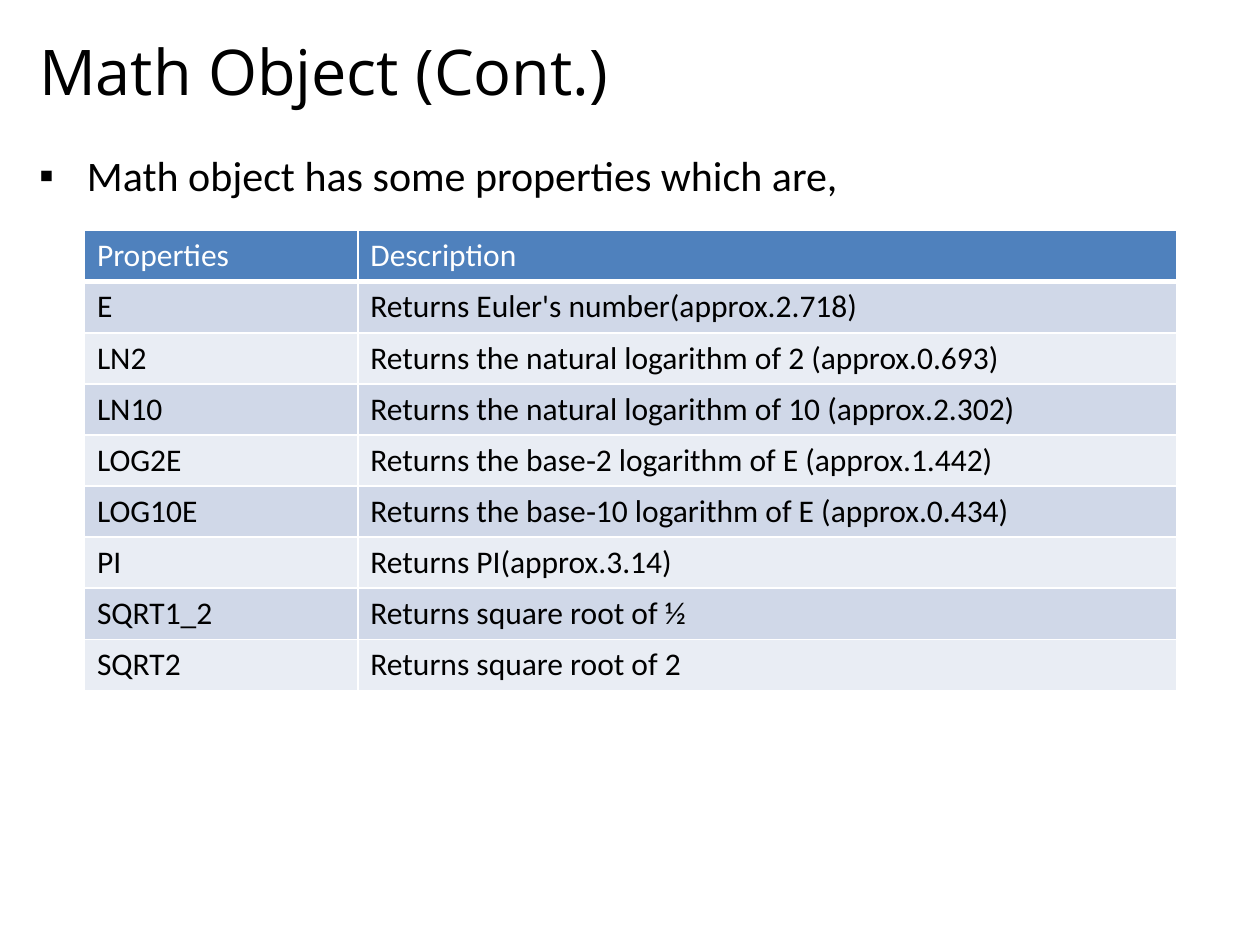
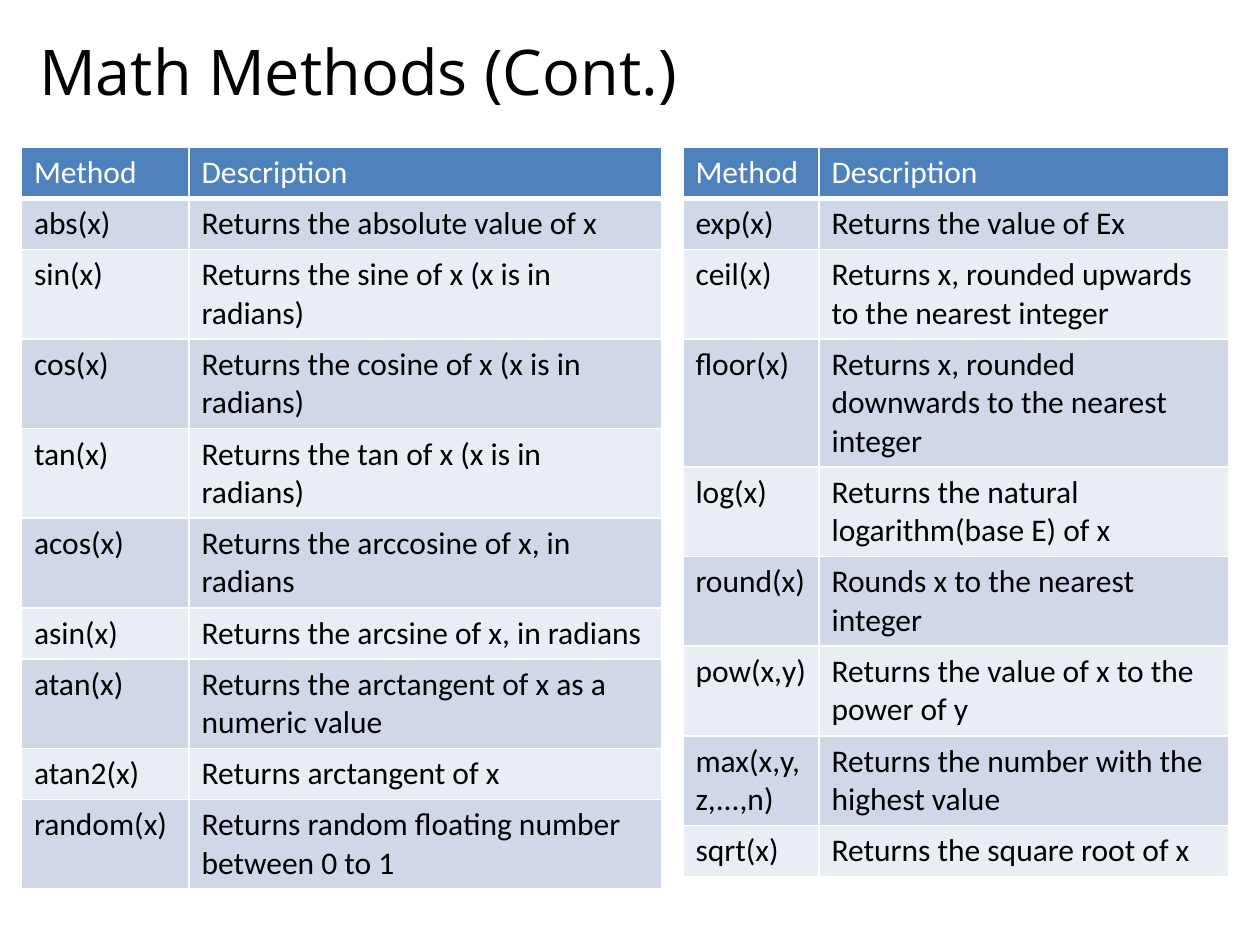
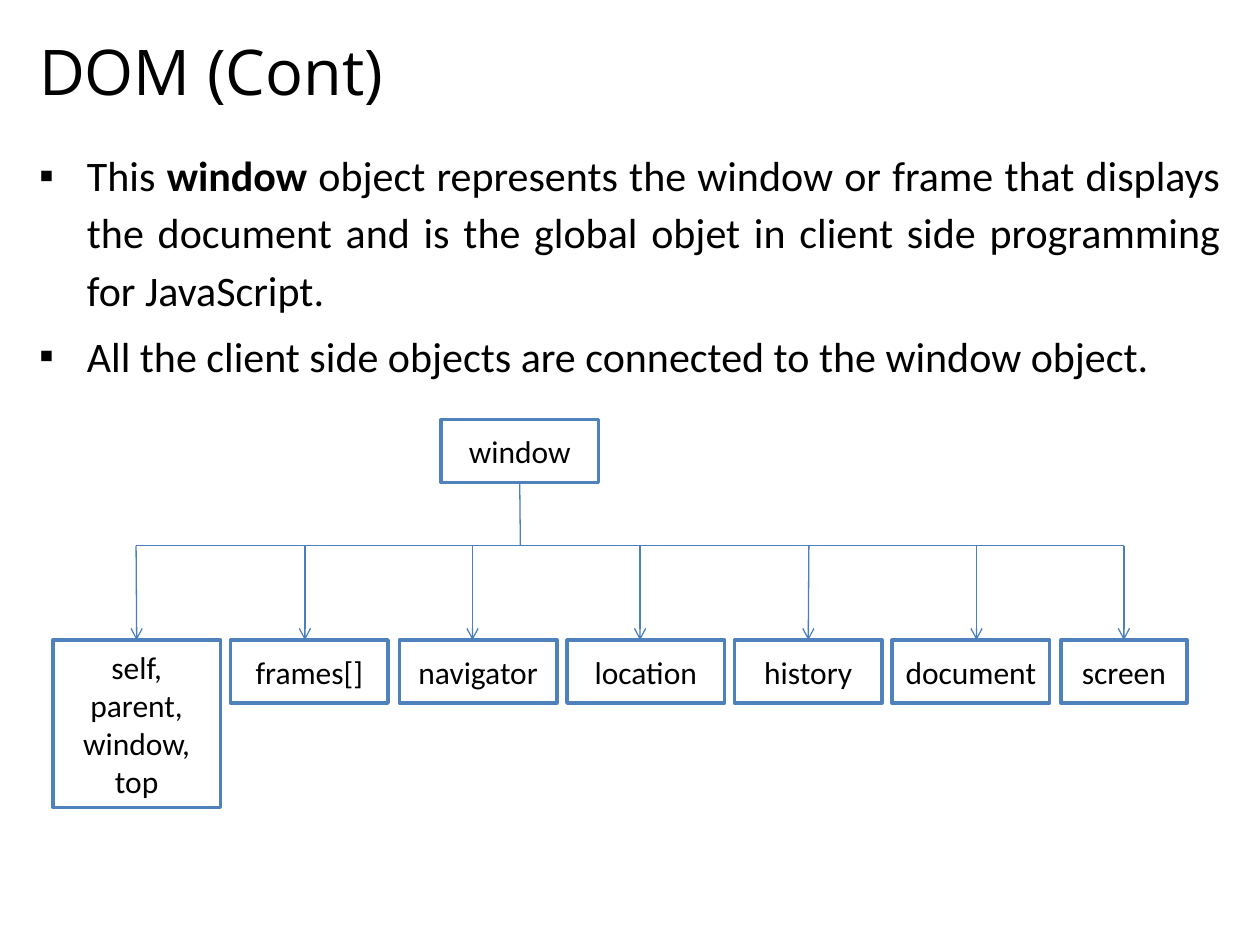
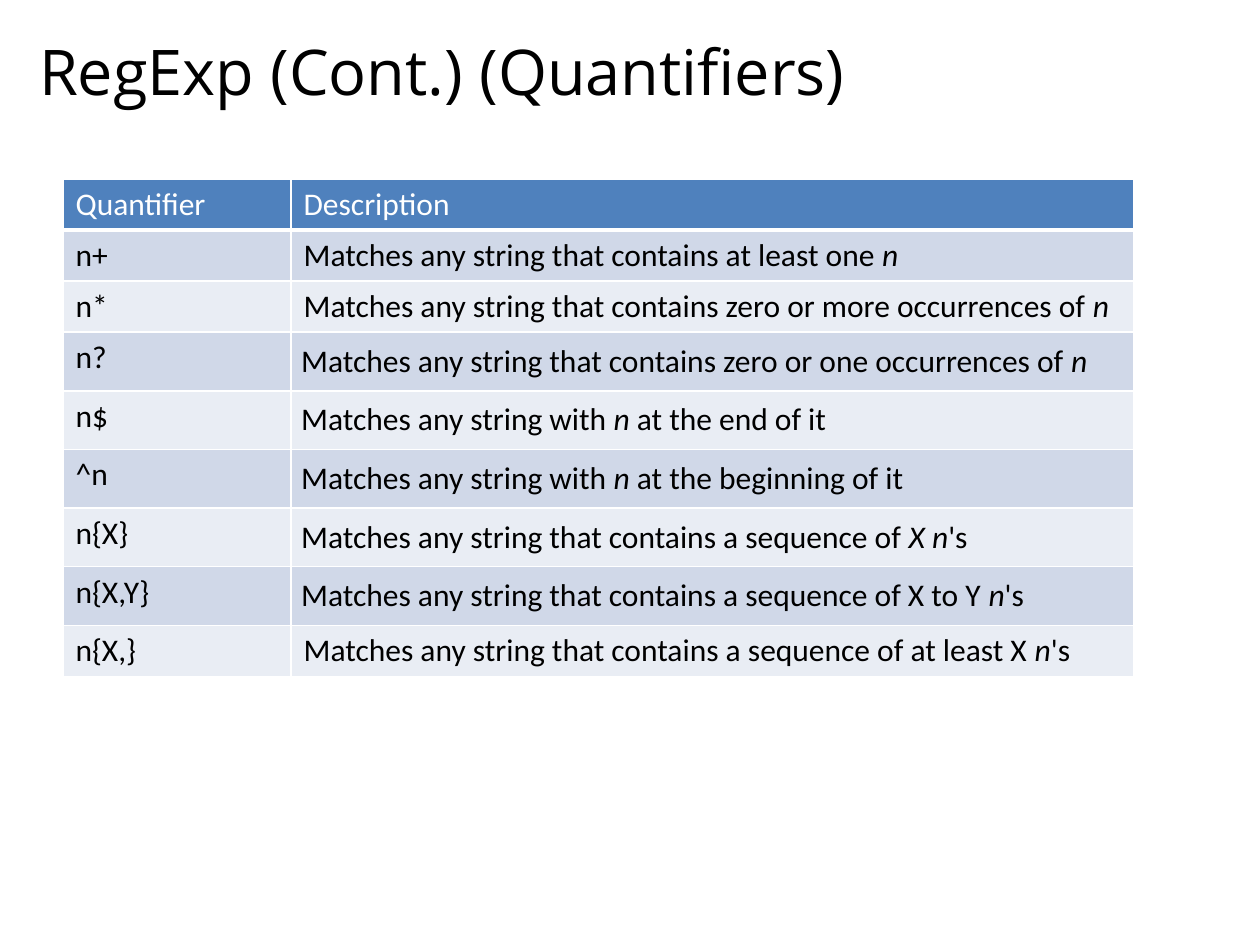
from pptx import Presentation
from pptx.dml.color import RGBColor
from pptx.enum.shapes import MSO_CONNECTOR as LINK, MSO_SHAPE as SHAPE
from pptx.enum.text import MSO_ANCHOR as ANCHOR, MSO_AUTO_SIZE as FIT, PP_ALIGN as ALIGN
from pptx.oxml.ns import qn
from pptx.util import Inches, Pt
from lxml.etree import SubElement as Sub

# Shared look
BLACK = RGBColor(0x00, 0x00, 0x00)
WHITE = RGBColor(0xFF, 0xFF, 0xFF)
BLUE = RGBColor(0x4F, 0x81, 0xBD)
LINE = RGBColor(0x4B, 0x7E, 0xBC)
BAND = RGBColor(0xD0, 0xD8, 0xE8)
PALE = RGBColor(0xE9, 0xED, 0xF4)
HEAD_FONT, TEXT_FONT = "Open Sans", "Calibri"
ROW = Inches(3.65) // 9
INDENT = Inches(0.38)
TITLE_ONLY, WITH_BODY = 5, 1

# Table texts; bars enclose emphasised words
PROPS = [
    ("Properties", "Description"),
    ("E", "Returns Euler's number(approx.2.718)"),
    ("LN2", "Returns the natural logarithm of 2 (approx.0.693)"),
    ("LN10", "Returns the natural logarithm of 10 (approx.2.302)"),
    ("LOG2E", "Returns the base‐2 logarithm of E (approx.1.442)"),
    ("LOG10E", "Returns the base‐10 logarithm of E (approx.0.434)"),
    ("PI", "Returns PI(approx.3.14)"),
    ("SQRT1_2", "Returns square root of ½"),
    ("SQRT2", "Returns square root of 2"),
]
TRIG = [
    ("Method", "Description"),
    ("abs(x)", "Returns the absolute value of x"),
    ("sin(x)", "Returns the sine of x (x is in radians)"),
    ("cos(x)", "Returns the cosine of x (x is in radians)"),
    ("tan(x)", "Returns the tan of x (x is in radians)"),
    ("acos(x)", "Returns the arccosine of x, in radians"),
    ("asin(x)", "Returns the arcsine of x, in radians"),
    ("atan(x)", "Returns the arctangent of x as a numeric value"),
    ("atan2(x)", "Returns arctangent of x"),
    ("random(x)", "Returns random floating number between 0 to 1"),
]
ROUND = [
    ("Method", "Description"),
    ("exp(x)", "Returns the value of Ex"),
    ("ceil(x)", "Returns x, rounded upwards to the nearest integer"),
    ("floor(x)", "Returns x, rounded downwards to the nearest integer"),
    ("log(x)", "Returns the natural logarithm(base E) of x"),
    ("round(x)", "Rounds x to the nearest integer"),
    ("pow(x,y)", "Returns the value of x to the power of y"),
    ("max(x,y,z,...,n)", "Returns the number with the highest value"),
    ("sqrt(x)", "Returns the square root of x"),
]
QUANTS = [
    ("Quantifier", "Description"),
    ("n+", "Matches any string that contains at least one |n|"),
    ("n*", "Matches any string that contains zero or more occurrences of |n|"),
    ("n?", "Matches any string that contains zero or one occurrences of |n|"),
    ("n$", "Matches any string with |n| at the end of it"),
    ("^n", "Matches any string with |n| at the beginning of it"),
    ("n{X}", "Matches any string that contains a sequence of |X n|'s"),
    ("n{X,Y}", "Matches any string that contains a sequence of X to Y |n|'s"),
    ("n{X,}", "Matches any string that contains a sequence of at least X |n|'s"),
]

# Children of window: label, left, width, height, x of the arrow
NODES = [
    ("self,\nparent,\nwindow,\ntop", 0.42, 1.33, 1.33, 1.08),
    ("frames[]", 1.83, 1.25, 0.5, 2.42),
    ("navigator", 3.17, 1.25, 0.5, 3.75),
    ("location", 4.5, 1.25, 0.5, 5.08),
    ("history", 5.83, 1.17, 0.5, 6.42),
    ("document", 7.08, 1.25, 0.5, 7.75),
    ("screen", 8.42, 1, 0.5, 8.92),
]
BUS_Y, NODE_Y = 4.33, 5.08


def write(para, text, size, color=BLACK, font=TEXT_FONT, bold=False):
    """Add runs; parts between bars are bold or italic."""
    for i, part in enumerate(text.split("|")):
        if not part:
            continue
        run = para.add_run()
        run.text = part
        face = run.font
        face.name, face.size = font, Pt(size)
        face.color.rgb = color
        if i % 2:
            face.bold, face.italic = bold, not bold


def place(shape, left, top, width, height):
    shape.left, shape.top = Inches(left), Inches(top)
    shape.width, shape.height = Inches(width), Inches(height)


def add_slide(prs, layout, title):
    slide = prs.slides.add_slide(prs.slide_layouts[layout])
    head = slide.shapes.title
    place(head, 0.21, 0.12, 9.58, 0.88)
    frame = head.text_frame
    frame.auto_size = FIT.NONE
    frame.vertical_anchor = ANCHOR.MIDDLE
    para = frame.paragraphs[0]
    para.alignment = ALIGN.LEFT
    write(para, title, 36, font=HEAD_FONT)
    return slide


def add_list(slide, items, align):
    body = slide.placeholders[1]
    place(body, 0.21, 1.08, 9.58, 5.83)
    frame = body.text_frame
    frame.auto_size = FIT.NONE
    for i, item in enumerate(items):
        para = frame.add_paragraph() if i else frame.paragraphs[0]
        para.alignment, para.line_spacing = align, 1.14
        props = para._p.get_or_add_pPr()
        props.set("marL", str(INDENT))
        props.set("indent", str(-INDENT))
        tint = Sub(props, qn("a:buClr"))
        Sub(tint, qn("a:srgbClr"), val=str(BLACK))
        Sub(props, qn("a:buChar"), char="▪")
        write(para, item, 24, bold=True)


def edge(cell, side, width):
    line = Sub(cell._tc.get_or_add_tcPr(), qn("a:ln" + side), w=str(Pt(width)))
    fill = Sub(line, qn("a:solidFill"))
    Sub(fill, qn("a:srgbClr"), val=str(WHITE))


def add_grid(slide, left, top, widths, rows, padded=()):
    """Banded table; padded rows have a wider margin in the last column."""
    shape = slide.shapes.add_table(
        len(rows), len(widths), Inches(left), Inches(top),
        Inches(sum(widths)), ROW * len(rows))
    table = shape.table
    for col, width in zip(table.columns, widths):
        col.width = Inches(width)
    for r, texts in enumerate(rows):
        for c, text in enumerate(texts):
            cell = table.cell(r, c)
            for side in "LRTB":
                edge(cell, side, 3 if r == 0 and side == "B" else 1)
            cell.fill.solid()
            cell.fill.fore_color.rgb = BLUE if r == 0 else BAND if r % 2 else PALE
            if r in padded and c == len(widths) - 1:
                cell.margin_left = cell.margin_right = Inches(0.08)
                cell.margin_top = cell.margin_bottom = Inches(0.08)
            write(cell.text_frame.paragraphs[0], text, 18, BLACK if r else WHITE)


def add_box(slide, label, left, top, width, height):
    box = slide.shapes.add_shape(
        SHAPE.RECTANGLE, Inches(left), Inches(top), Inches(width), Inches(height))
    box.shadow.inherit = False
    box.fill.solid()
    box.fill.fore_color.rgb = WHITE
    box.line.color.rgb, box.line.width = BLUE, Pt(2)
    frame = box.text_frame
    frame.vertical_anchor = ANCHOR.MIDDLE
    for i, text in enumerate(label.split("\n")):
        para = frame.add_paragraph() if i else frame.paragraphs[0]
        para.alignment = ALIGN.CENTER
        write(para, text, 18)
    return box


def add_line(slide, x1, y1, x2, y2, arrow=False):
    link = slide.shapes.add_connector(
        LINK.STRAIGHT, Inches(x1), Inches(y1), Inches(x2), Inches(y2))
    link.line.color.rgb, link.line.width = LINE, Pt(0.75)
    if arrow:
        Sub(link.line._get_or_add_ln(), qn("a:tailEnd"), type="arrow")
    Sub(link._element.spPr, qn("a:effectLst"))
    return link


def add_tree(slide):
    root = add_box(slide, "window", 3.5, 3.33, 1.25, 0.5)
    for label, left, width, height, x in NODES:
        box = add_box(slide, label, left, NODE_Y, width, height)
        drop = add_line(slide, x, BUS_Y, x, NODE_Y, arrow=True)
        if abs(left + width / 2 - x) < 0.01:
            drop.end_connect(box, 0)
    trunk = add_line(slide, 4.13, BUS_Y, 4.13, 3.83)
    trunk.end_connect(root, 2)
    add_line(slide, NODES[0][-1], BUS_Y, NODES[-1][-1], BUS_Y)


def main():
    prs = Presentation()
    prs.slide_width, prs.slide_height = Inches(10), Inches(7.5)

    # Math properties
    slide = add_slide(prs, WITH_BODY, "Math Object (Cont.)")
    add_list(slide, ["Math object has some properties which are,"], ALIGN.LEFT)
    add_grid(slide, 0.67, 1.83, (2.17, 6.5), PROPS)

    # Math methods
    slide = add_slide(prs, TITLE_ONLY, "Math Methods (Cont.)")
    add_grid(slide, 0.17, 1.17, (1.33, 3.75), TRIG)
    add_grid(slide, 5.42, 1.17, (1.08, 3.25), ROUND)

    # Window object tree
    slide = add_slide(prs, WITH_BODY, "DOM (Cont)")
    add_list(slide, [
        "This |window| object represents the window or frame that displays "
        "the document and is the global objet in client side programming "
        "for JavaScript.",
        "All the client side objects are connected to the window object.",
    ], ALIGN.JUSTIFY)
    add_tree(slide)

    # Quantifiers
    slide = add_slide(prs, TITLE_ONLY, "RegExp (Cont.) (Quantifiers)")
    add_grid(slide, 0.5, 1.42, (1.81, 6.69), QUANTS, padded=range(3, 8))

    prs.save("out.pptx")


if __name__ == "__main__":
    main()
